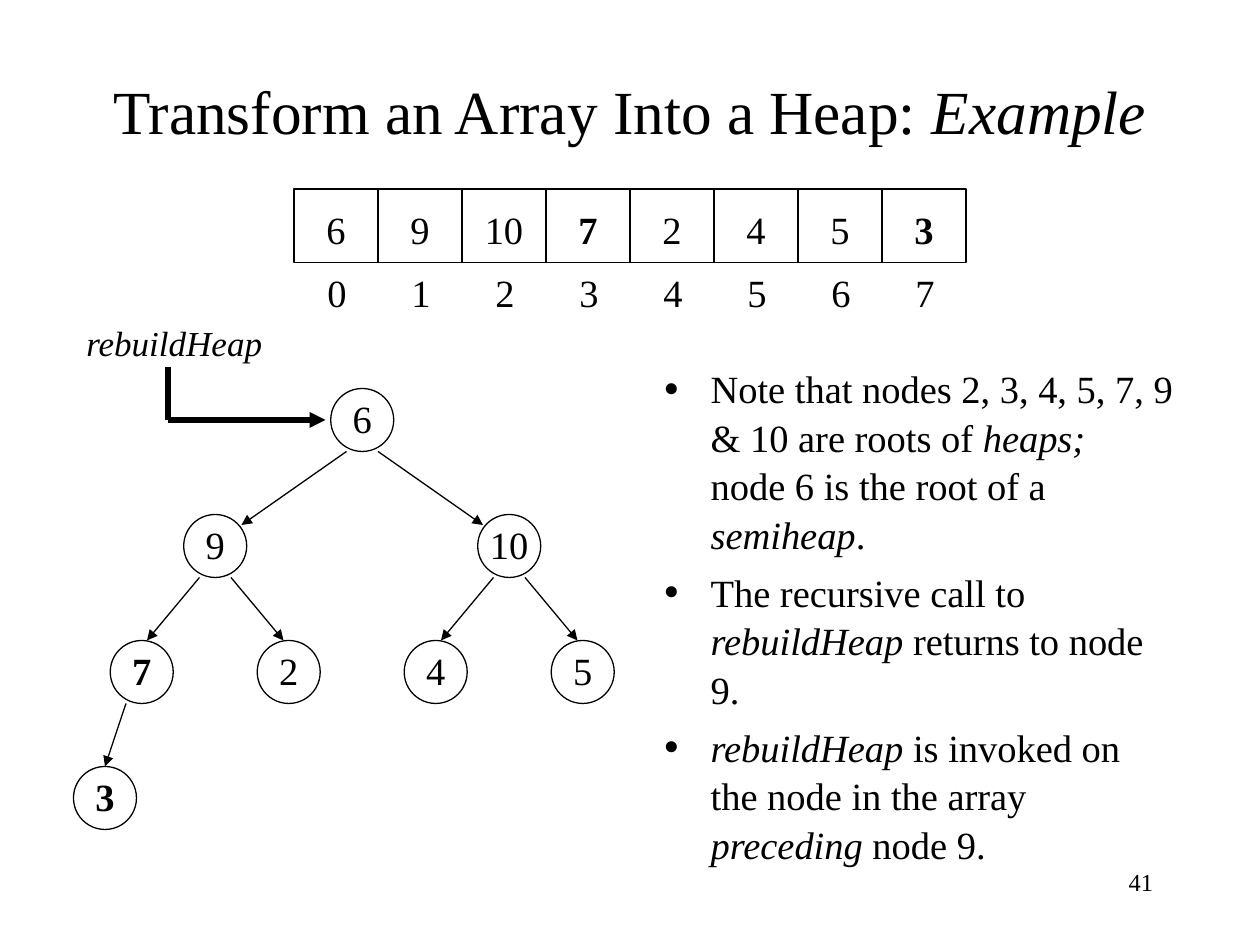
from lxml import etree
from pptx import Presentation
from pptx.dml.color import RGBColor
from pptx.enum.shapes import MSO_CONNECTOR, MSO_SHAPE
from pptx.enum.text import MSO_ANCHOR, PP_ALIGN
from pptx.oxml.ns import qn
from pptx.util import Pt

PX = 7620  # EMU per px, 120 px to the inch
FONT = "Times New Roman"
COLORS = {"ink": "000000"}
LEFT, MID, RIGHT = PP_ALIGN.LEFT, PP_ALIGN.CENTER, PP_ALIGN.RIGHT
TOP, CENTER = MSO_ANCHOR.TOP, MSO_ANCHOR.MIDDLE
RECT, OVAL = MSO_SHAPE.RECTANGLE, MSO_SHAPE.OVAL
STRAIGHT = MSO_CONNECTOR.STRAIGHT

ARRAY = ["6", "9", "10", "7", "2", "4", "5", "3"]
BOLD = {"7", "3"}
NODE = 60
# Left edge and top of each tree node, in array order
SPOTS = [(315, 370), (175, 490), (455, 490), (105, 610),
         (245, 610), (385, 610), (525, 610), (70, 730)]
# Where an edge ends, from the child's top centre, by the child's level
ENDS = {1: (25, 10), 2: (5, 0), 3: (0, 0)}

# Each run is a text and its style: "i" italic, "b" bold
TITLE = [("Transform an Array Into a Heap: ", ""), ("Example", "i")]
NOTES = [
    [("Note that nodes 2, 3, 4, 5, 7, 9 & 10 are roots of ", ""),
     ("heaps;", "i"), ("\n", ""), ("node 6 is the root of a ", ""),
     ("semiheap", "i"), (".", "")],
    [("The recursive call to", ""), (" rebuildHeap ", "i"),
     ("returns to node 9.", "")],
    [("rebuildHeap", "i"), (" is invoked on the node in the array ", ""),
     ("preceding", "i"), (" node 9.", "")],
]


def ink():
    return RGBColor.from_string(COLORS["ink"])


def px(*nums):
    return [round(n * PX) for n in nums]


def write(para, runs, size, align):
    para.alignment = align
    for text, style in runs:
        if text == "\n":
            para.add_line_break()
            continue
        run = para.add_run()
        run.text = text
        font = run.font
        font.name, font.size = FONT, Pt(size)
        font.bold, font.italic = "b" in style, "i" in style
        font.color.rgb = ink()


def frame(shape, anchor, pads):
    body = shape.text_frame
    body.word_wrap = True
    body.vertical_anchor = anchor
    (body.margin_left, body.margin_top,
     body.margin_right, body.margin_bottom) = px(*pads)
    return body


def label(slide, box, runs, size, align=MID, anchor=CENTER):
    shape = slide.shapes.add_textbox(*px(*box))
    body = frame(shape, anchor, (12, 6, 12, 6))
    write(body.paragraphs[0], runs, size, align)


def outline(slide, kind, box, value, pads):
    shape = slide.shapes.add_shape(kind, *px(*box))
    shape.shadow.inherit = False
    shape.fill.background()
    shape.line.color.rgb = ink()
    shape.line.width = Pt(0.75)
    body = frame(shape, CENTER, pads)
    style = "b" if value in BOLD else ""
    write(body.paragraphs[0], [(value, style)], 22, MID)


def line(slide, start, end, width=0.75, arrow=True):
    link = slide.shapes.add_connector(STRAIGHT, *px(*start, *end))
    link.line.color.rgb = ink()
    link.line.width = Pt(width)
    if arrow:
        tip = etree.SubElement(link.line._get_or_add_ln(), qn("a:tailEnd"))
        tip.set("type", "triangle")
    etree.SubElement(link._element.spPr, qn("a:effectLst"))


def bullet(para):
    props = para._p.get_or_add_pPr()
    props.set("marL", str(45 * PX))
    props.set("indent", str(-45 * PX))
    etree.SubElement(props, qn("a:buSzPct")).set("val", "120000")
    etree.SubElement(props, qn("a:buFont")).set("typeface", FONT)
    etree.SubElement(props, qn("a:buChar")).set("char", "•")


def notes(slide):
    shape = slide.shapes.add_textbox(*px(620, 340, 510, 470))
    body = frame(shape, TOP, (12, 6, 12, 6))
    for i, runs in enumerate(NOTES):
        para = body.paragraphs[0] if i == 0 else body.add_paragraph()
        para.space_before = Pt(5.5)
        para.line_spacing = 1.05
        write(para, runs, 22, LEFT)
        bullet(para)


def array(slide):
    for i, value in enumerate(ARRAY):
        x = 280 + 80 * i
        outline(slide, RECT, (x, 180, 80, 70), value, (0, 6, 0, 0))
        label(slide, (x + 20, 250, 40, 56), [(str(i), "")], 22)


def tree(slide):
    for i, (value, (x, y)) in enumerate(zip(ARRAY, SPOTS)):
        outline(slide, OVAL, (x, y, NODE, NODE), value, (0, 0, 0, 4))
        if i == 0:
            continue
        # Edge from the parent; odd places are left children
        side = -1 if i % 2 else 1
        left, top = SPOTS[(i - 1) // 2]
        dx, dy = ENDS[(i + 1).bit_length() - 1]
        half = NODE // 2
        line(slide, (left + half + 15 * side, top + NODE),
             (x + half - dx * side, y + dy))


def call(slide):
    label(slide, (70, 300, 192, 53), [("rebuildHeap", "i")], 20)
    line(slide, (160, 350), (160, 400), 3, False)
    line(slide, (160, 400), (310, 400), 3)


def main():
    deck = Presentation()
    deck.slide_width, deck.slide_height = px(1200, 900)
    slide = deck.slides.add_slide(deck.slide_layouts[6])
    label(slide, (90, 60, 1020, 90), TITLE, 35)
    array(slide)
    call(slide)
    tree(slide)
    notes(slide)
    # Page number
    label(slide, (860, 820, 250, 60), [("41", "")], 14, RIGHT, TOP)
    deck.save("out.pptx")


if __name__ == "__main__":
    main()
